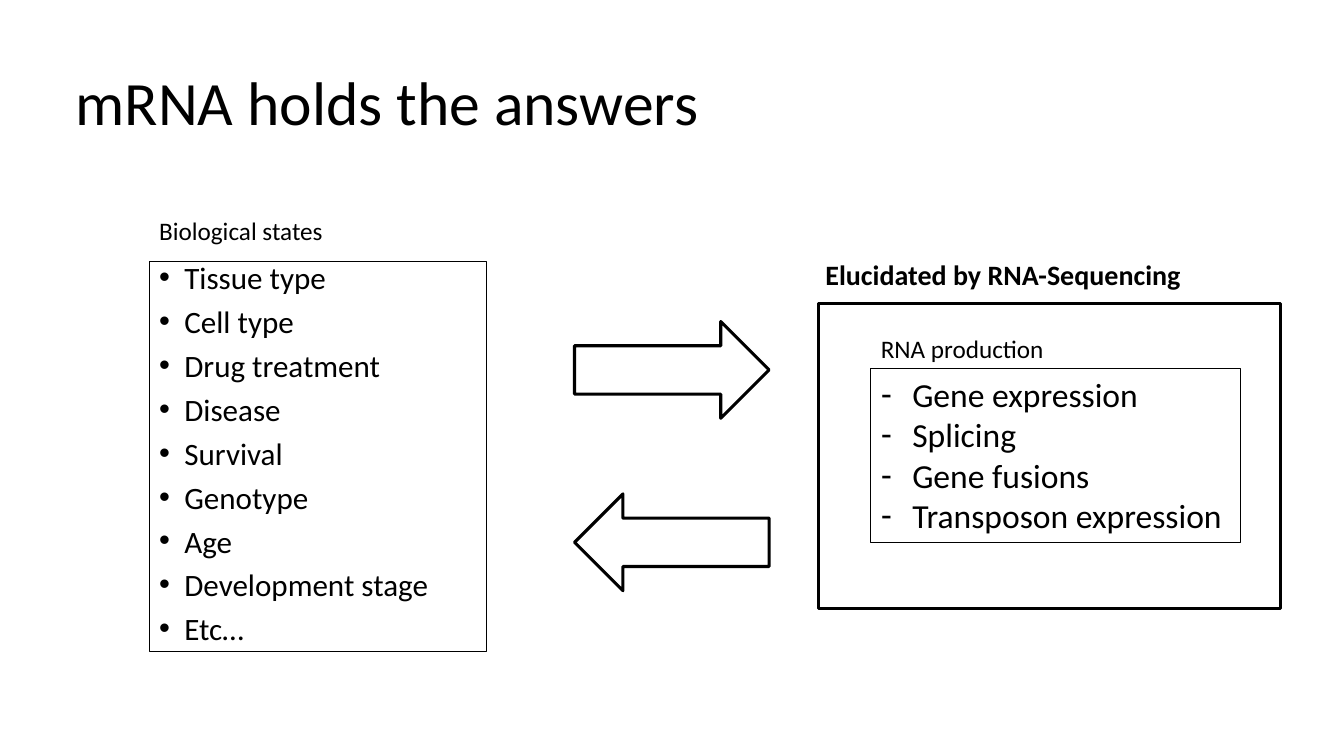
from dataclasses import dataclass

from lxml.etree import SubElement
from pptx import Presentation
from pptx.dml.color import RGBColor
from pptx.enum.shapes import MSO_SHAPE as Shape
from pptx.enum.text import MSO_ANCHOR as Anchor, PP_ALIGN as Align
from pptx.oxml.ns import qn
from pptx.util import Pt


@dataclass(frozen=True)
class Theme:
    font: str = "Calibri"
    bullet_font: str = "Arial"
    ink: RGBColor = RGBColor(0, 0, 0)
    title: float = 44
    states: float = 22.2
    products: float = 24
    heading: float = 20
    label: float = 18
    thin: float = 0.75
    thick: float = 2.25


THEME = Theme()

STATES = ["Tissue type", "Cell type", "Drug treatment", "Disease", "Survival",
          "Genotype", "Age", "Development stage", "Etc…"]
PRODUCTS = ["Gene expression", "Splicing", "Gene fusions", "Transposon expression"]


def style_runs(paragraph, size, bold=False):
    for run in paragraph.runs:
        run.font.name = THEME.font
        run.font.size = Pt(size)
        run.font.bold = bold
        run.font.color.rgb = THEME.ink


def add_title(slide, text, box):
    title = slide.shapes.title
    title.left, title.top, title.width, title.height = map(Pt, box)
    frame = title.text_frame
    frame.text = text
    frame.word_wrap = True
    frame.vertical_anchor = Anchor.MIDDLE
    heading = frame.paragraphs[0]
    heading.alignment = Align.LEFT
    heading.line_spacing = 0.9
    style_runs(heading, THEME.title)


def add_label(slide, text, box, size, bold=False):
    frame = slide.shapes.add_textbox(*map(Pt, box)).text_frame
    frame.word_wrap = False
    frame.text = text
    style_runs(frame.paragraphs[0], size, bold)


def add_outline(slide, kind, box, weight, rotation=0):
    outline = slide.shapes.add_shape(kind, *map(Pt, box))
    outline.shadow.inherit = False
    outline.fill.background()
    outline.line.color.rgb = THEME.ink
    outline.line.width = Pt(weight)
    outline.rotation = rotation
    return outline


def set_bullet(paragraph, mark, indent):
    properties = paragraph._p.get_or_add_pPr()
    properties.set("marL", str(Pt(indent)))
    properties.set("indent", str(-Pt(indent)))
    SubElement(properties, qn("a:buFont"), typeface=THEME.bullet_font)
    SubElement(properties, qn("a:buChar"), char=mark)


def add_boxed_list(slide, items, box, size, mark, indent, spacing=1.0, gap=0):
    frame = add_outline(slide, Shape.RECTANGLE, box, THEME.thin).text_frame
    frame.word_wrap = True
    frame.vertical_anchor = Anchor.TOP
    frame.text = "\n".join(items)
    for index, item in enumerate(frame.paragraphs):
        set_bullet(item, mark, indent)
        item.alignment = Align.LEFT
        item.line_spacing = spacing
        item.space_before = Pt(gap if index else 0)
        style_runs(item, size)


def main():
    deck = Presentation()
    deck.slide_width, deck.slide_height = Pt(960), Pt(540)
    slide = deck.slides.add_slide(deck.slide_layouts[5])
    add_title(slide, "mRNA holds the answers", (46.8, 23, 848.2, 104.4))

    # Biological states
    add_label(slide, "Biological states", (106.6, 150.5, 132.5, 28.8), THEME.label)
    add_boxed_list(slide, STATES, (106.6, 186.5, 241.2, 278.6), THEME.states,
                   "•", 18, spacing=0.8, gap=10)

    # Arrows in both directions
    for top, rotation in ((229.7, 0), (352.8, 180)):
        add_outline(slide, Shape.RIGHT_ARROW, (410.4, top, 139, 69.1),
                    THEME.thick, rotation)

    # RNA production, framed by the sequencing method
    add_outline(slide, Shape.RECTANGLE, (584.6, 216.7, 329.8, 218.2), THEME.thick)
    add_label(slide, "Elucidated by RNA-Sequencing", (582.5, 180.7, 270.7, 31.7),
              THEME.heading, bold=True)
    add_label(slide, "RNA production", (622.1, 234.7, 132.5, 28.8), THEME.label)
    add_boxed_list(slide, PRODUCTS, (622.1, 263.5, 264.2, 123.8), THEME.products,
                   "-", 22.5)

    deck.save("out.pptx")


if __name__ == "__main__":
    main()
